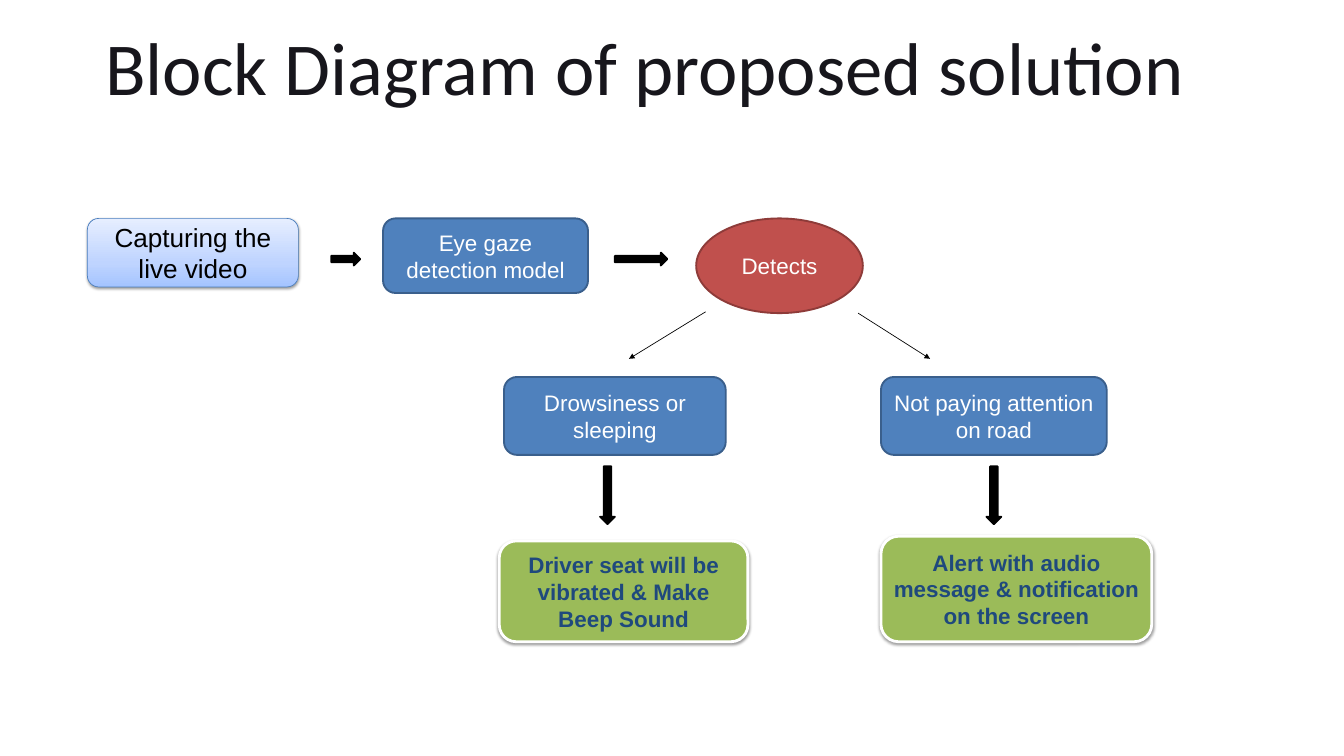
"""Build the block diagram slide of a driver alert system."""
import copy

import lxml.etree
import pptx
import pptx.dml.color
import pptx.enum.shapes
import pptx.enum.text
import pptx.oxml
import pptx.oxml.ns
import pptx.util

Inches = pptx.util.Inches
Pt = pptx.util.Pt
Kind = pptx.enum.shapes.MSO_SHAPE
Align = pptx.enum.text.PP_ALIGN
Anchor = pptx.enum.text.MSO_ANCHOR
qn = pptx.oxml.ns.qn


def color(code):
    return pptx.dml.color.RGBColor.from_string(code)


class Chart:
    black = "000000"
    white = "FFFFFF"
    blue = ("4F81BD", "3A5F8C")
    red = ("C0504D", "8E3B39")
    green = "9BBB59"
    navy = "1F497D"
    ink = "17161C"
    sky = [(0, "A4C4FF"), (0.35, "BFD4FF"), (1, "E6EEFF")]

    def __init__(self, slide):
        self.slide = slide

    def label(self, frame, text, size, tint, bold=False, face="Arial"):
        frame.word_wrap = True
        para = frame.paragraphs[0]
        para.text = text
        para.alignment = Align.CENTER
        para.font.size = Pt(size)
        para.font.name = face
        para.font.bold = bold
        para.font.color.rgb = color(tint)
        return para

    def title(self, text, x, y, w, h):
        box = self.slide.shapes.add_textbox(Inches(x), Inches(y), Inches(w), Inches(h))
        frame = box.text_frame
        frame.margin_left = frame.margin_right = 0
        frame.margin_top = frame.margin_bottom = 0
        para = self.label(frame, text, 80, self.ink, face="Calibri")
        para.line_spacing = 0.82
        frame.auto_size = pptx.enum.text.MSO_AUTO_SIZE.SHAPE_TO_FIT_TEXT

    def shape(self, kind, x, y, w, h, fill, line, width=2):
        item = self.slide.shapes.add_shape(kind, Inches(x), Inches(y), Inches(w), Inches(h))
        item.fill.solid()
        item.fill.fore_color.rgb = color(fill)
        item.line.color.rgb = color(line)
        item.line.width = Pt(width)
        item.shadow.inherit = False
        item.text_frame.vertical_anchor = Anchor.MIDDLE
        return item

    def node(self, text, x, y, w, h, pair=blue, kind=Kind.ROUNDED_RECTANGLE):
        item = self.shape(kind, x, y, w, h, *pair)
        self.label(item.text_frame, text, 24, self.white)

    def start(self, text, x, y, w, h):
        item = self.shape(Kind.ROUNDED_RECTANGLE, x, y, w, h, self.white, "4B7EBC", 0.75)
        item.fill.gradient()
        item.fill.gradient_angle = 90
        stops = item._element.spPr.find(qn("a:gradFill")).find(qn("a:gsLst"))
        stops.append(copy.deepcopy(stops[0]))
        for stop, (place, tint) in zip(item.fill.gradient_stops, self.sky):
            stop.position = place
            stop.color.rgb = color(tint)
        self.label(item.text_frame, text, 28, self.black)
        self.shade(item)

    def alert(self, text, x, y, w, h):
        item = self.shape(Kind.ROUNDED_RECTANGLE, x, y, w, h, self.green, self.white, 3)
        self.label(item.text_frame, text, 24, self.navy, bold=True)
        self.shade(item)

    def shade(self, item):
        effect = item._element.spPr.find(qn("a:effectLst"))
        outer = lxml.etree.SubElement(
            effect, qn("a:outerShdw"), blurRad=str(int(Pt(3.1))), dist=str(int(Pt(1.6))),
            dir="5400000", rotWithShape="0")
        tint = lxml.etree.SubElement(outer, qn("a:srgbClr"), val=self.black)
        lxml.etree.SubElement(tint, qn("a:alpha"), val="38000")

    def arrow(self, kind, x, y, w, h):
        self.shape(kind, x, y, w, h, self.black, self.black)

    def branch(self, x, y, end, low):
        link = self.slide.shapes.add_connector(
            pptx.enum.shapes.MSO_CONNECTOR.STRAIGHT,
            Inches(x), Inches(y), Inches(end), Inches(low))
        link.line.color.rgb = color(self.black)
        link.line.width = Pt(0.75)
        lxml.etree.SubElement(link.get_or_add_ln(), qn("a:tailEnd"), type="triangle")
        lxml.etree.SubElement(link._element.spPr, qn("a:effectLst"))


def main():
    deck = pptx.Presentation()
    deck.slide_width = Inches(20)
    deck.slide_height = Inches(11.25)
    chart = Chart(deck.slides.add_slide(deck.slide_layouts[6]))

    chart.title("Block Diagram of proposed solution", 0.95, 0.54, 17.3, 0.86)

    top = 3.25
    chart.start("Capturing the live video", 1.3, top, 3.14, 1.02)
    chart.node("Eye gaze detection model", 5.7, top, 3.05, 1.11)
    chart.node("Detects", 10.36, top, 2.48, 1.41, chart.red, Kind.OVAL)
    for x, w in [(4.93, 0.43), (9.15, 0.78)]:
        chart.arrow(Kind.RIGHT_ARROW, x, 3.76, w, 0.19)

    chart.branch(10.5, 4.64, 9.36, 5.34)
    chart.branch(12.77, 4.66, 13.84, 5.34)

    for text, x, w in [("Drowsiness or sleeping", 7.5, 3.3),
                       ("Not paying attention on road", 13.11, 3.36)]:
        chart.node(text, x, 5.61, w, 1.16)
    for x in (8.93, 14.68):
        chart.arrow(Kind.DOWN_ARROW, x, 6.94, 0.22, 0.86)

    chart.alert("Driver seat will be vibrated & Make Beep Sound", 7.43, 8.05, 3.7, 1.5)
    chart.alert("Alert with audio message & notification on the screen",
                13.11, 7.98, 4.03, 1.57)

    deck.save("out.pptx")


if __name__ == "__main__":
    main()
